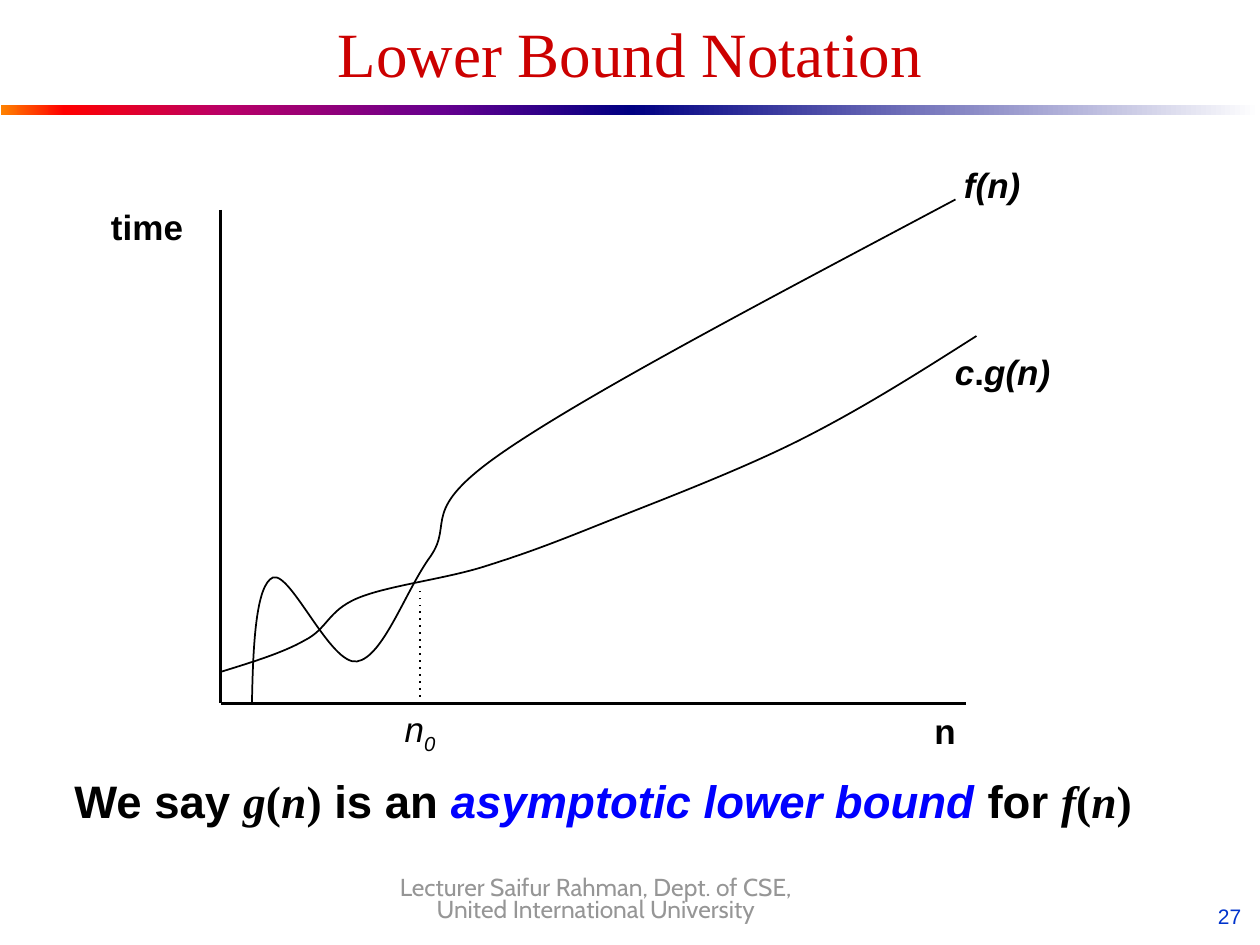
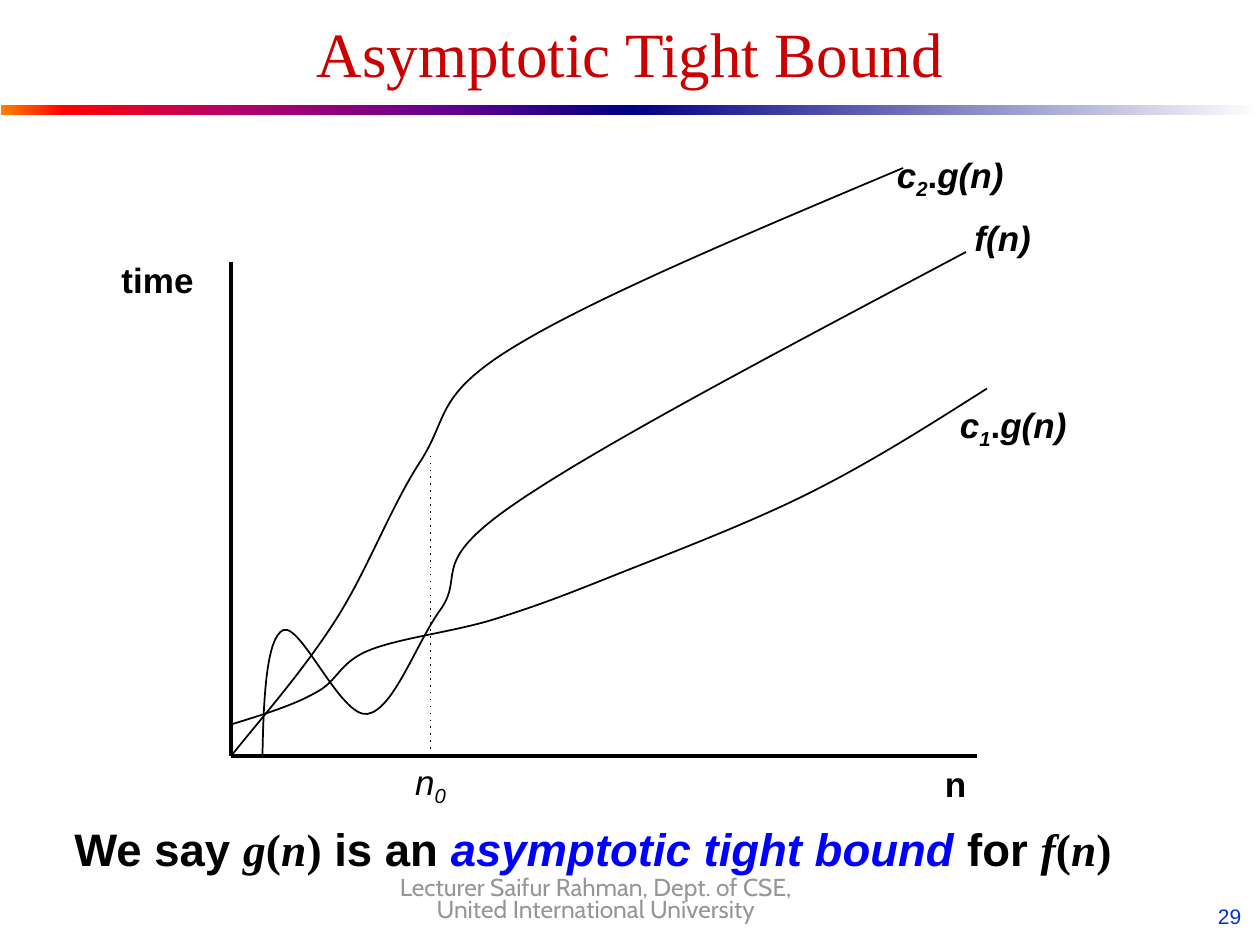
import pptx
import pptx.util
import pptx.dml.color
import pptx.enum.shapes
import pptx.enum.text
import pptx.oxml
import pptx.oxml.ns
from lxml import etree

PX = 7620  # 120 px to the inch
qn = pptx.oxml.ns.qn
Pt = pptx.util.Pt
ALIGN = pptx.enum.text.PP_ALIGN

HEX = {"title": "CC0000", "ink": "000000", "key": "0000FF",
       "page": "0033CC", "foot": "969696"}
BANDS = [
    (1, [(0, "FF8200"), (10, "FF0000"), (35, "BA0066"), (70, "66008F"), (100, "000082")]),
    (600, [(0, "000082"), (100, "FFFFFF")]),
]

LABEL = {"name": "Arial", "size": Pt(20), "bold": True, "italic": False}
SAY = {**LABEL, "size": Pt(26)}
MATH = {**SAY, "name": "Times New Roman"}
FORMS = {
    "title": {"name": "Times New Roman", "size": Pt(36), "color": "title"},
    "label": LABEL,
    "slant": {**LABEL, "italic": True},
    "sub": {**LABEL, "italic": True, "base": -25000},
    "thin": {**LABEL, "bold": False, "italic": True},
    "thinsub": {**LABEL, "bold": False, "italic": True, "base": -25000},
    "say": SAY,
    "key": {**SAY, "italic": True, "color": "key"},
    "math": MATH,
    "var": {**MATH, "italic": True},
    "page": {"name": "Arial", "size": Pt(12), "color": "page"},
    "foot": {"name": "Cabin", "size": Pt(14), "color": "foot"},
}

# Curves: a start, then three points for each Bezier piece, from the graph origin
LOW = [(0, -30), (29, -39), (59, -48), (80, -60), (102, -71), (102, -88), (130, -100),
       (158, -112), (211, -118), (250, -130), (288, -142), (310, -150), (360, -170),
       (410, -190), (490, -220), (550, -250), (610, -280), (665, -315), (720, -350)]
MID = [(30, 0), (31, -57), (34, -113), (50, -120), (67, -126), (105, -36), (130, -40),
       (155, -44), (176, -107), (200, -140), (223, -173), (187, -183), (270, -240),
       (353, -297), (527, -388), (700, -480)]
HIGH = [(0, 0), (34, -42), (70, -83), (100, -130), (130, -177), (152, -237), (180, -280),
        (208, -323), (193, -343), (270, -390), (347, -437), (493, -498), (640, -560)]

# Labels: left and top from the graph origin, width, runs
MARKS = [
    (-120, -480, 100, [("time", "label")]),
    (640, 0, 100, [("n", "label")]),
    (140, -2, 100, [("n", "thin"), ("0", "thinsub")]),
    (670, -520, 130, [("f(n)", "slant")]),
]
DOT_G = [(".", "label"), ("g(n)", "slant")]

SLIDES = [
    {"title": "Lower Bound Notation", "page": "27", "origin": (210, 670),
     "drop": -110, "curves": [LOW, MID], "key": "asymptotic lower bound", "say": 730,
     "marks": [(680, -342, 130, [("c", "slant"), *DOT_G])]},
    {"title": "Asymptotic Tight Bound", "page": "29", "origin": (220, 720),
     "drop": -290, "curves": [LOW, MID, HIGH], "key": "asymptotic tight bound", "say": 776,
     "marks": [(680, -342, 130, [("c", "slant"), ("1", "sub"), *DOT_G]),
               (620, -580, 130, [("c", "slant"), ("2", "sub"), *DOT_G])]},
]


def rgb(name):
    return pptx.dml.color.RGBColor.from_string(HEX[name])


def write(shape, box, runs, align=ALIGN.CENTER):
    """Place a text shape and fill it with (text, form) runs."""
    for side, val in zip(("left", "top", "width", "height"), box):
        setattr(shape, side, val * PX)
    shape.text_frame.word_wrap = True
    para = shape.text_frame.paragraphs[0]
    para.alignment = align
    for text, form in runs:
        run = para.add_run()
        run.text = text
        run.font.color.rgb = rgb("ink")
        for key, val in FORMS[form].items():
            if key == "color":
                run.font.color.rgb = rgb(val)
            elif key == "base":
                run.font._element.set("baseline", str(val))
            else:
                setattr(run.font, key, val)
    return para


deck = pptx.Presentation()
deck.slide_width, deck.slide_height = 1200 * PX, 900 * PX

for page in SLIDES:
    slide = deck.slides.add_slide(deck.slide_layouts[5])
    shapes = slide.shapes
    x0, y0 = page["origin"]

    # Title, bands, footer and page number
    write(shapes.title, (60, 20, 1080, 60), [(page["title"], "title")])
    shapes.title.text_frame.vertical_anchor = pptx.enum.text.MSO_ANCHOR.MIDDLE
    for left, stops in BANDS:
        band = shapes.add_shape(pptx.enum.shapes.MSO_SHAPE.RECTANGLE,
                                left * PX, 100 * PX, 600 * PX, 10 * PX)
        band.shadow.inherit = False
        band.line.fill.background()
        band.fill.gradient()
        band.fill.gradient_angle = 0
        stop_list = band._element.spPr.find(".//" + qn("a:gsLst"))
        for old in list(stop_list):
            stop_list.remove(old)
        for pos, tint in stops:
            stop = etree.SubElement(stop_list, qn("a:gs"), pos=str(pos * 1000))
            etree.SubElement(stop, qn("a:srgbClr"), val=tint)
    write(shapes.add_textbox(0, 0, 0, 0), (915, 855, 279, 33),
          [(page["page"], "page")], ALIGN.RIGHT)
    foot = shapes.add_textbox(0, 0, 0, 0)
    for side in ("left", "top", "right", "bottom"):
        setattr(foot.text_frame, "margin_" + side, 0)
    para = write(foot, (355, 838, 425, 42),
                 [("Lecturer Saifur Rahman, Dept. of CSE, ", "foot"),
                  ("United International University", "foot")])
    para.line_spacing = Pt(12.4)

    # Axes and the dotted drop line
    for xa, ya, xb, yb, width in [(0, -470, 0, 0, 2), (0, 0, 710, 0, 2),
                                  (190, 0, 190, page["drop"], 1)]:
        rule = shapes.add_connector(pptx.enum.shapes.MSO_CONNECTOR.STRAIGHT,
                                    (x0 + xa) * PX, (y0 + ya) * PX,
                                    (x0 + xb) * PX, (y0 + yb) * PX)
        rule.line.color.rgb = rgb("ink")
        rule.line.width = Pt(width)
        if width == 1:
            ln = rule._element.spPr.find(qn("a:ln"))
            etree.SubElement(ln, qn("a:prstDash"), val="dot")
        etree.SubElement(rule._element.spPr, qn("a:effectLst"))

    # Curves: each three straight segments become one Bezier piece
    for points in page["curves"]:
        spots = [((x0 + x) * PX, (y0 + y) * PX) for x, y in points]
        form = shapes.build_freeform(*spots[0])
        form.add_line_segments(spots[1:], close=False)
        curve = form.convert_to_shape()
        curve.shadow.inherit = False
        curve.fill.background()
        curve.line.color.rgb = rgb("ink")
        curve.line.width = Pt(1)
        lines = list(curve._element.iter(qn("a:lnTo")))
        for first, *rest in zip(lines[::3], lines[1::3], lines[2::3]):
            piece = etree.Element(qn("a:cubicBezTo"))
            first.addprevious(piece)
            for seg in (first, *rest):
                piece.append(seg[0])
                seg.getparent().remove(seg)

    # Labels and the closing sentence
    for x, y, width, runs in MARKS + page["marks"]:
        write(shapes.add_textbox(0, 0, 0, 0), (x0 + x, y0 + y, width, 52), runs)
    write(shapes.add_textbox(0, 0, 0, 0), (59, page["say"], 1032, 64),
          [("We say ", "say"), ("g", "var"), ("(", "math"), ("n", "var"), (")", "math"),
           (" is an ", "say"), (page["key"], "key"), (" for ", "say"),
           ("f", "var"), ("(", "math"), ("n", "var"), (")", "math")], ALIGN.LEFT)

deck.save("out.pptx")
